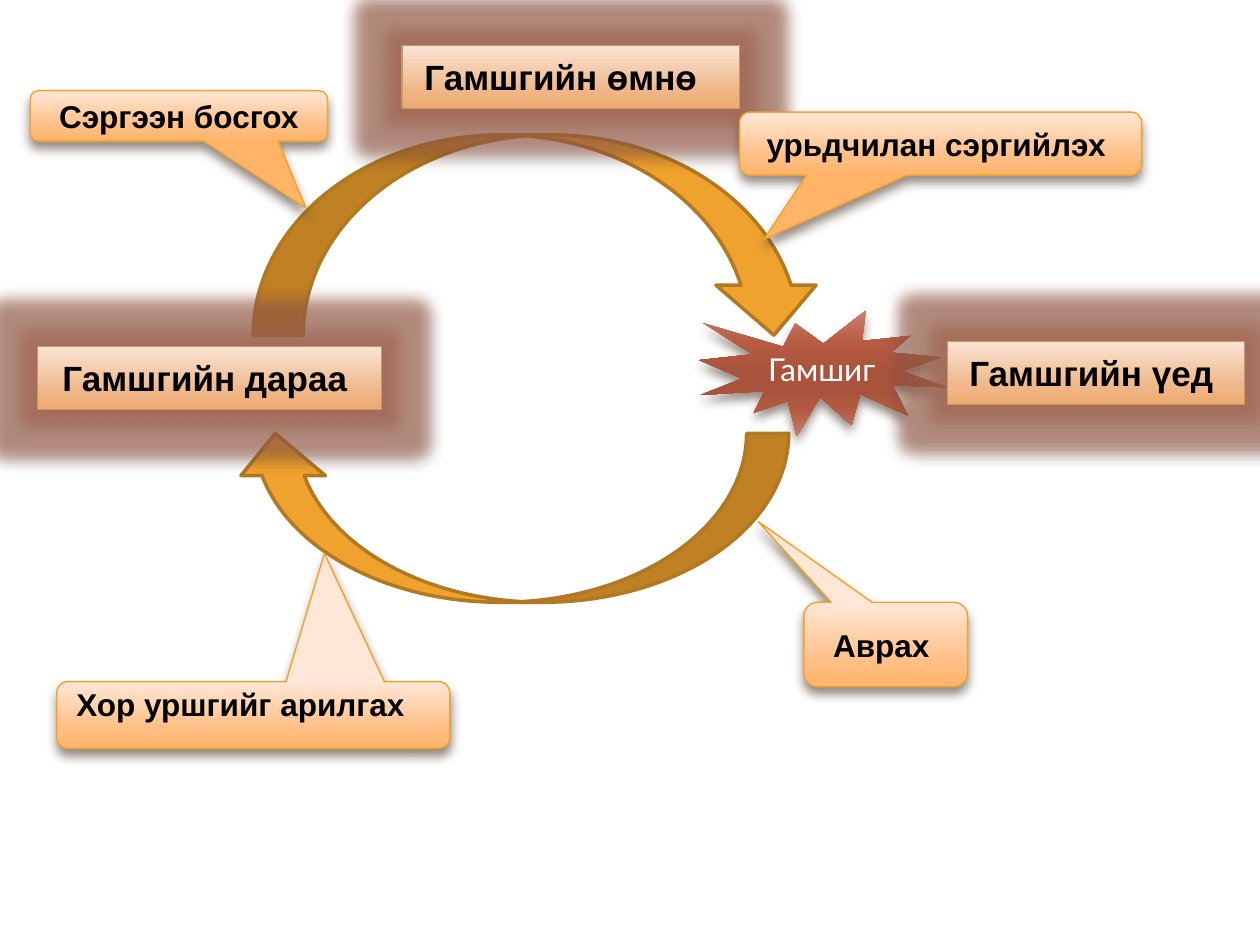
from lxml.etree import SubElement
from pptx import Presentation
from pptx.dml.color import RGBColor
from pptx.enum.shapes import MSO_SHAPE as SHAPE
from pptx.enum.text import MSO_ANCHOR as ANCHOR, PP_ALIGN as ALIGN
from pptx.oxml.ns import qn
from pptx.util import Inches, Pt

WHITE = RGBColor(0xFF, 0xFF, 0xFF)
BLACK = RGBColor(0x00, 0x00, 0x00)
AMBER = RGBColor(0xF0, 0xA2, 0x2E)
BRONZE = RGBColor(0xB2, 0x78, 0x22)
TAN = RGBColor(0xC3, 0x98, 0x6D)
RUST = RGBColor(0xA5, 0x64, 0x4E)
BROWN = RGBColor(0x4E, 0x3B, 0x30)

SOFT_SHADOW = ("outerShdw", BROWN, 60, dict(blurRad=Pt(6), dist=Pt(4), dir=5400000, rotWithShape=0))
BOX_SHADOW = ("outerShdw", BLACK, 38, dict(blurRad=Pt(3.1), dist=Pt(1.6), dir=5400000, rotWithShape=0))
BOX_GLOW = ("glow", RUST, 60, dict(rad=Pt(18)))

SEAL = dict(
    kind=SHAPE.EXPLOSION1, line=None, effects=[SOFT_SHADOW],
    stops=[(0, "CD8473"), (25, "B75B42"), (50, "AA533C"), (65, "AA533C"), (80, "B65B42"), (100, "C77D6B")],
    font=dict(name="Lato", size=Pt(18), bold=False), color=WHITE)
CALLOUT = dict(
    kind=SHAPE.ROUNDED_RECTANGULAR_CALLOUT, line=AMBER, effects=[SOFT_SHADOW],
    stops=[(0, "FFE7D7"), (72, "FFBE84"), (100, "FFB468")],
    font=dict(name="Arial", size=Pt(18), bold=True), color=BLACK)
PHASE = dict(
    kind=SHAPE.RECTANGLE, line=TAN, effects=[BOX_GLOW, BOX_SHADOW],
    stops=[(0, "FAE4D5"), (72, "EFB688"), (100, "EFAA6F")],
    font=dict(name="Arial", size=Pt(20), bold=True), color=BLACK)

CENTRED = dict(vertical_anchor=ANCHOR.MIDDLE)
SHIFTED = dict(vertical_anchor=ANCHOR.MIDDLE, margin_right=Inches(0.18))
TOP_LEFT = dict(vertical_anchor=ANCHOR.TOP, margin_top=0, margin_left=Inches(0.13))


def add_color(parent, color, alpha=None):
    """Append an RGB colour, with an optional opacity in percent."""
    clr = SubElement(parent, qn("a:srgbClr"), val=str(color))
    if alpha is not None:
        SubElement(clr, qn("a:alpha"), val=str(alpha * 1000))


def apply_style(sp, style):
    """Give a shape its vertical gradient, outline and effects."""
    sp.fill.gradient()
    sp.fill.gradient_angle = 270
    if style["line"] is None:
        sp.line.fill.background()
    else:
        sp.line.color.rgb = style["line"]
        sp.line.width = Pt(0.79)
    sp.shadow.inherit = False
    spPr = sp._element.spPr
    stops = spPr.find(qn("a:gradFill")).find(qn("a:gsLst"))
    for gs in list(stops):
        stops.remove(gs)
    for pos, color in style["stops"]:
        add_color(SubElement(stops, qn("a:gs"), pos=str(pos * 1000)), color)
    effects = spPr.find(qn("a:effectLst"))
    for tag, color, alpha, attrs in style["effects"]:
        values = {key: str(int(value)) for key, value in attrs.items()}
        add_color(SubElement(effects, qn("a:" + tag), values), color, alpha)


prs = Presentation()
prs.slide_width, prs.slide_height = Inches(10), Inches(7.5)
s = prs.slides.add_slide(prs.slide_layouts[6])

# Cycle arrows
for box, rotation in [((2.01, 1.07, 4.53, 1.59), 0), ((1.85, 3.44, 4.41, 1.34), 180)]:
    sp = s.shapes.add_shape(SHAPE.CURVED_DOWN_ARROW, *map(Inches, box))
    sp.rotation = rotation
    sp.fill.solid()
    sp.fill.fore_color.rgb = AMBER
    sp.line.color.rgb = BRONZE
    sp.line.width = Pt(2)
    sp.shadow.inherit = False

# Phases, callouts and the disaster itself: style, text, box, pointer, text frame
labels = [
    (SEAL, "Гамшиг ", (5.55, 2.46, 1.97, 1), None, CENTRED),
    (CALLOUT, "Сэргээн босгох", (0.24, 0.72, 2.36, 0.4), (0.427, 1.826), CENTRED),
    (PHASE, "Гамшгийн дараа ", (0.3, 2.75, 2.73, 0.5), None, CENTRED),
    (PHASE, "Гамшгийн өмнө ", (3.19, 0.36, 2.68, 0.5), None, SHIFTED),
    (PHASE, "Гамшгийн үед ", (7.52, 2.71, 2.36, 0.5), None, CENTRED),
    (CALLOUT, "Аврах ", (6.38, 4.78, 1.3, 0.67), (-0.779, -1.456), CENTRED),
    (CALLOUT, "Хор уршгийг арилгах", (0.45, 5.41, 3.12, 0.53), (0.181, -2.421), TOP_LEFT),
    (CALLOUT, "урьдчилан сэргийлэх ", (5.87, 0.89, 3.19, 0.5), (-0.44, 1.522), CENTRED),
]
for style, text, box, pointer, frame in labels:
    sp = s.shapes.add_shape(style["kind"], *map(Inches, box))
    apply_style(sp, style)
    if pointer:
        sp.adjustments[0], sp.adjustments[1] = pointer
    tf = sp.text_frame
    tf.word_wrap = True
    for name, value in frame.items():
        setattr(tf, name, value)
    p = tf.paragraphs[0]
    p.alignment = ALIGN.LEFT if frame is TOP_LEFT else ALIGN.CENTER
    r = p.add_run()
    r.text = text
    for name, value in style["font"].items():
        setattr(r.font, name, value)
    r.font.color.rgb = style["color"]

prs.save("out.pptx")
